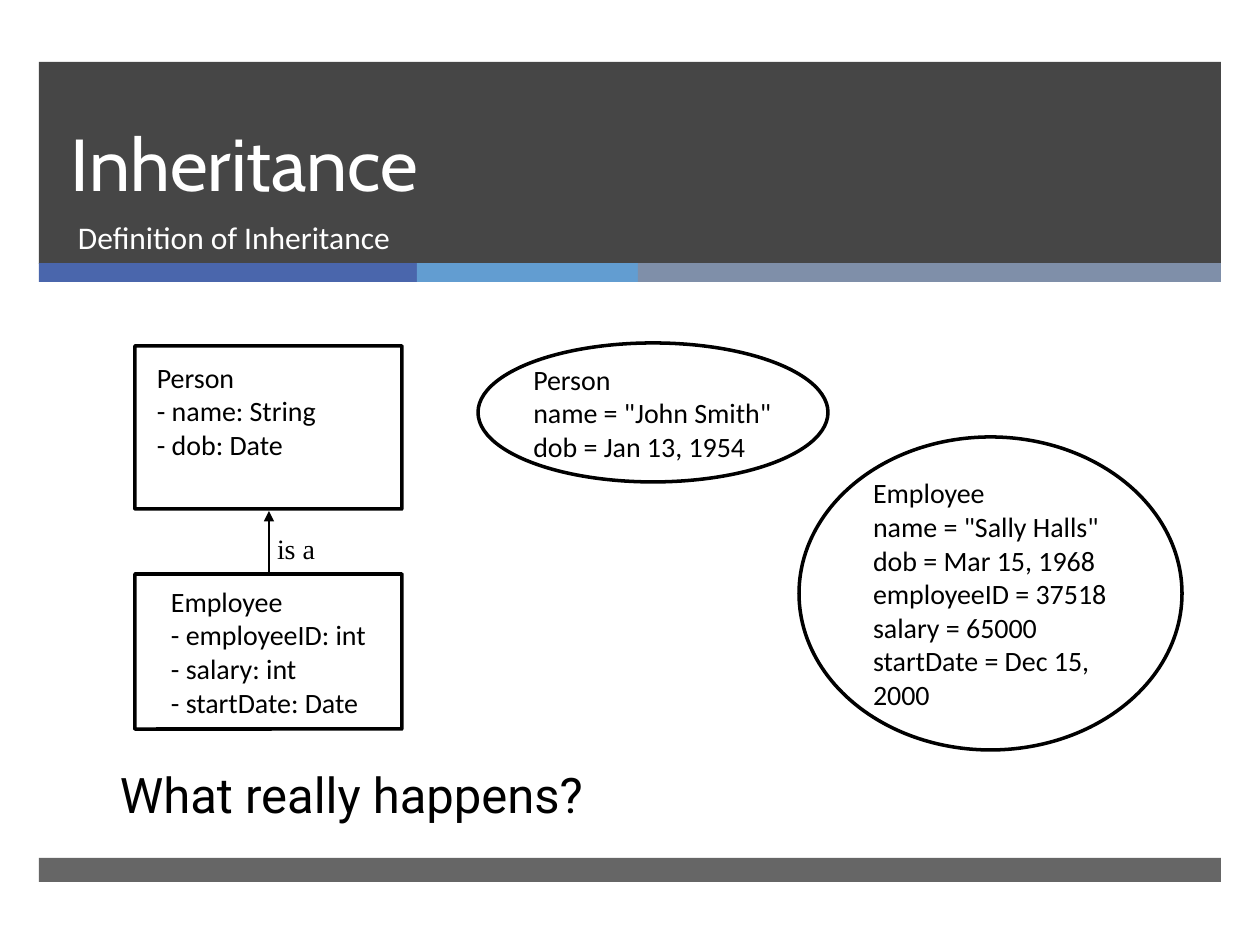
"""Build the Inheritance slide with its class boxes and object ellipses."""
from lxml.etree import SubElement
from pptx import Presentation
from pptx.dml.color import RGBColor
from pptx.enum.shapes import MSO_CONNECTOR, MSO_SHAPE as SHAPE
from pptx.enum.text import MSO_ANCHOR as ANCHOR, MSO_AUTO_SIZE, PP_ALIGN
from pptx.oxml.ns import qn
from pptx.util import Emu, Pt

PX = 914400 // 126
COLORS = {"dark": "262626", "blue": "4A66AC", "sky": "629DD1",
          "slate": "7F8FA9", "white": "FFFFFF", "black": "000000"}


def px(*values):
    """Turn pixels into EMU lengths."""
    return [Emu(round(v * PX)) for v in values]


def color(name):
    """Return the named colour."""
    return RGBColor.from_string(COLORS[name])


def write(sp, lines, font, size, ink="black", insets=(0, 0, 0, 0),
          anchor=ANCHOR.TOP, wrap=True):
    """Fill a shape with left-aligned paragraphs in one style."""
    tf = sp.text_frame
    tf.text = "\n".join(lines)
    tf.auto_size = MSO_AUTO_SIZE.NONE
    tf.word_wrap = wrap
    tf.vertical_anchor = anchor
    (tf.margin_left, tf.margin_top,
     tf.margin_right, tf.margin_bottom) = px(*insets)
    for p in tf.paragraphs:
        p.alignment = PP_ALIGN.LEFT
        for r in p.runs:
            r.font.name = font
            r.font.size = Pt(size)
            r.font.color.rgb = color(ink)


def add_label(s, box, text, font, size, **style):
    """Add a text box with one line."""
    sp = s.shapes.add_textbox(*px(*box))
    write(sp, [text], font, size, **style)


def add_bar(s, box, fill, alpha=100):
    """Add a plain band, see-through when alpha is below 100."""
    sp = s.shapes.add_shape(SHAPE.RECTANGLE, *px(*box))
    sp.shadow.inherit = False
    sp.fill.solid()
    sp.fill.fore_color.rgb = color(fill)
    sp.line.fill.background()
    if alpha < 100:
        clr = sp.element.spPr.find(qn("a:solidFill"))[0]
        SubElement(clr, qn("a:alpha"), val=str(alpha * 1000))


def add_node(s, kind, box, lines, left, bottom=0):
    """Add an outlined class box or object ellipse."""
    sp = s.shapes.add_shape(kind, *px(*box))
    if kind == SHAPE.ROUNDED_RECTANGLE:
        sp.adjustments[0] = 0.001
    sp.shadow.inherit = False
    sp.fill.solid()
    sp.fill.fore_color.rgb = color("white")
    sp.line.color.rgb = color("black")
    sp.line.width = Pt(2)
    write(sp, lines, "Calibri", 16, insets=(left, 0, 0, bottom),
          anchor=ANCHOR.MIDDLE)


def add_arrow(s, x1, y1, x2, y2):
    """Add a thin arrow with its head at the second point."""
    line = s.shapes.add_connector(MSO_CONNECTOR.STRAIGHT, *px(x1, y1, x2, y2))
    line.line.color.rgb = color("black")
    line.line.width = Pt(0.75)
    SubElement(line.line._get_or_add_ln(), qn("a:tailEnd"), type="triangle")
    SubElement(line.element.spPr, qn("a:effectLst"))


def add_title(s, box, text):
    """Move the title in front of the bands and format it."""
    sp = s.shapes.title
    sp.element.getparent().append(sp.element)
    sp.left, sp.top, sp.width, sp.height = px(*box)
    write(sp, [text], "Cabin", 42, ink="white", insets=(13, 6, 13, 6),
          anchor=ANCHOR.BOTTOM)
    sp.text_frame.paragraphs[0].line_spacing = Pt(46)


def main():
    """Build and save the slide."""
    prs = Presentation()
    prs.slide_width, prs.slide_height = px(1260, 945)
    s = prs.slides.add_slide(prs.slide_layouts[5])

    add_bar(s, (39, 62, 1182, 202), "dark", 85)
    x = 39
    for width, fill in ((378, "blue"), (221, "sky"), (583, "slate")):
        add_bar(s, (x, 263, width, 19), fill)
        x += width
    add_bar(s, (39, 858, 1182, 24), "dark", 70)

    add_title(s, (58, 62, 1076, 150), "Inheritance")
    add_label(s, (65, 212, 1069, 67), "Definition of Inheritance",
              "Calibri", 18, ink="white", insets=(13, 6, 13, 6))
    add_label(s, (120, 765, 507, 57), "What really happens?", "Roboto", 28)

    add_node(s, SHAPE.ROUNDED_RECTANGLE, (135, 346, 267, 163),
             ["Person", "- name: String", "- dob: Date"], 22, 34)
    add_arrow(s, 269, 625, 269, 511)
    add_node(s, SHAPE.ROUNDED_RECTANGLE, (135, 574, 267, 155),
             ["Employee", "- employeeID: int", "- salary: int",
              "- startDate: Date"], 36)
    add_node(s, SHAPE.OVAL, (478, 343, 350, 139),
             ["Person", 'name = "John Smith"', "dob = Jan 13, 1954"], 4)
    add_node(s, SHAPE.OVAL, (799, 437, 383, 313),
             ["Employee", 'name = "Sally Halls"', "dob = Mar 15, 1968",
              "employeeID = 37518", "salary = 65000",
              "startDate = Dec 15, 2000"], 18)
    add_label(s, (277, 532, 45, 34), "is a", "Times New Roman", 16,
              wrap=False)
    prs.save("out.pptx")


main()
